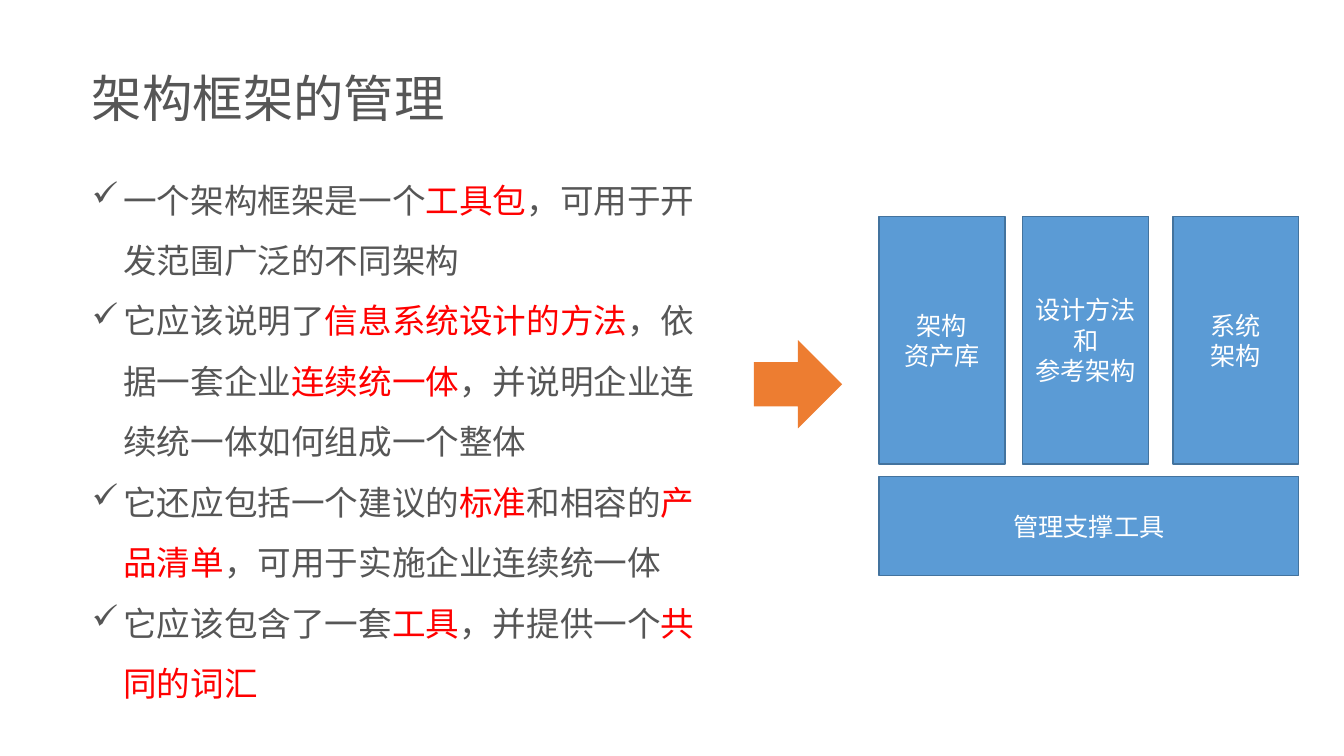
import pptx
import pptx.dml.color
import pptx.enum.shapes
import pptx.enum.text
import pptx.oxml.ns
import pptx.util
from lxml import etree

PX = 9525
FONT = "Noto Sans CJK SC"
GREY, RED, WHITE = "565656", "FF0000", "FFFFFF"
BLUE, BLUE_EDGE, ORANGE = "5B9BD5", "43739E", "ED7D31"
SHAPES = pptx.enum.shapes.MSO_SHAPE
ALIGN = pptx.enum.text.PP_ALIGN
ANCHOR = pptx.enum.text.MSO_ANCHOR

POINTS = [
    "一个架构框架是一个|工具包|，可用于开发范围广泛的不同架构",
    "它应该说明了|信息系统设计的方法|，依据一套企业|连续统一体|，并说明企业连续统一体如何组成一个整体",
    "它还应包括一个建议的|标准|和相容的|产品清单|，可用于实施企业连续统一体",
    "它应该包含了一套|工具|，并提供一个|共同的词汇",
]
PILLARS = [
    (837, ["架构", "资产库"]),
    (974, ["设计方法和", "参考架构"]),
    (1117, ["系统", "架构"]),
]


def px(*lengths):
    return [length * PX for length in lengths]


def colour(value):
    return pptx.dml.color.RGBColor.from_string(value)


def apply(target, formats):
    for name, value in formats.items():
        setattr(target, name, value)


def add_run(paragraph, text, size, shade):
    run = paragraph.add_run()
    run.text = text
    apply(run.font, {"size": pptx.util.Pt(size), "name": FONT})
    run.font.color.rgb = colour(shade)
    east_asian = etree.SubElement(run.font._element, pptx.oxml.ns.qn("a:ea"))
    east_asian.set("typeface", FONT)


def add_paragraphs(frame, lines):
    for index, line in enumerate(lines):
        paragraph = frame.add_paragraph() if index else frame.paragraphs[0]
        yield paragraph, line


def add_title(slide, text):
    title = slide.shapes.add_textbox(*px(78, 59, 373, 68)).text_frame
    title.word_wrap = False
    add_run(title.paragraphs[0], text, 36, GREY)


def add_checklist(slide, points):
    checklist = slide.shapes.add_textbox(*px(78, 147, 612, 533)).text_frame
    checklist.word_wrap = True
    for paragraph, point in add_paragraphs(checklist, points):
        properties = paragraph._p.get_or_add_pPr()
        indent = 30 * PX
        for name, value in {"marL": indent, "indent": -indent}.items():
            properties.set(name, str(value))
        check = etree.SubElement(properties, pptx.oxml.ns.qn("a:buChar"))
        check.set("char", "✓")
        paragraph.line_spacing = 1.5
        for index, part in enumerate(point.split("|")):
            add_run(paragraph, part, 24, RED if index % 2 else GREY)


def add_filled(slide, kind, box, fill):
    shape = slide.shapes.add_shape(kind, *px(*box))
    shape.shadow.inherit = False
    shape.fill.solid()
    shape.fill.fore_color.rgb = colour(fill)
    return shape


def add_block(slide, box, lines):
    block = add_filled(slide, SHAPES.RECTANGLE, box, BLUE)
    block.line.color.rgb = colour(BLUE_EDGE)
    block.line.width = pptx.util.Pt(1)
    apply(block.text_frame, {"word_wrap": True, "vertical_anchor": ANCHOR.MIDDLE})
    for paragraph, line in add_paragraphs(block.text_frame, lines):
        paragraph.alignment = ALIGN.CENTER
        add_run(paragraph, line, 18, WHITE)


def add_arrow(slide, box):
    arrow = add_filled(slide, SHAPES.RIGHT_ARROW, box, ORANGE)
    arrow.line.fill.background()


def main():
    deck = pptx.Presentation()
    width, height = px(1280, 720)
    apply(deck, {"slide_width": width, "slide_height": height})
    slide = deck.slides.add_slide(deck.slide_layouts[6])
    add_checklist(slide, POINTS)
    add_title(slide, "架构框架的管理")
    for left, lines in PILLARS:
        add_block(slide, (left, 206, 120, 236), lines)
    add_block(slide, (837, 454, 400, 94), ["管理支撑工具"])
    add_arrow(slide, (718, 324, 84, 84))
    deck.save("out.pptx")


if __name__ == "__main__":
    main()
